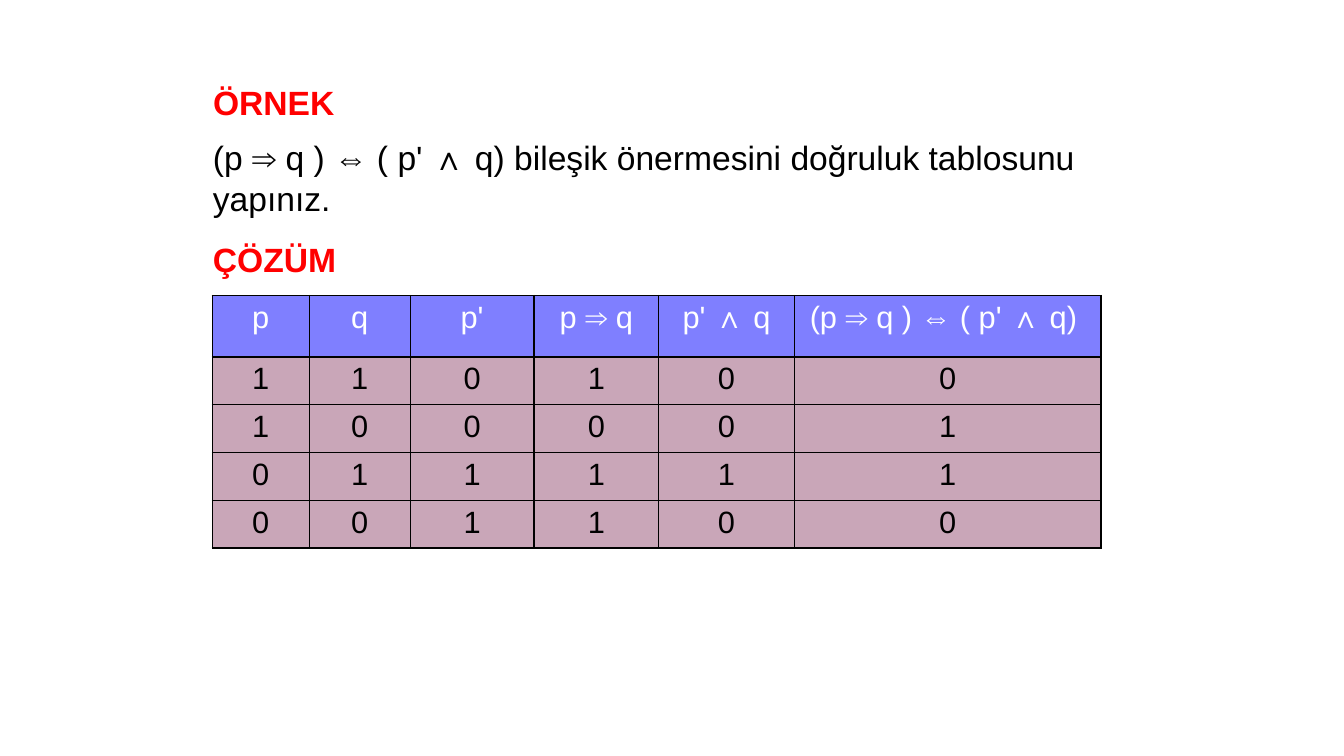
from lxml.etree import SubElement
from pptx import Presentation
from pptx.dml.color import RGBColor
from pptx.enum.text import MSO_ANCHOR as Anchor, MSO_AUTO_SIZE as AutoSize, PP_ALIGN as Align
from pptx.oxml.ns import qn
from pptx.util import Pt

RED, BLACK, WHITE = "FF0000", "000000", "FFFFFF"
HEADER_FILL, BODY_FILL = "0000FF", "954F72"
AND = "∧ "
FORMULA = "(p ⇒ q ) ⇔ ( p' ∧ q) "
HEADERS = ["p", "q", "p'", "p ⇒ q", "p' ∧ q", FORMULA]
COLUMN_WIDTHS = [69.5, 72, 88.5, 89, 97, 219]
ROW_HEIGHTS = [44, 34, 34, 34.5, 34]


def color(hex_string):
    return RGBColor.from_string(hex_string)


def apply(target, **values):
    for name, value in values.items():
        setattr(target, name, value)


def add_text(frame, text, size, font_color, align=Align.LEFT, bold=False):
    """Write one paragraph, with every conjunction sign in bold."""
    paragraph = frame.paragraphs[0]
    paragraph.alignment = align
    before, sign, after = text.partition(AND)
    for part in filter(None, (before, sign, after)):
        run = paragraph.add_run()
        run.text = part
        apply(run.font, name="Arial", size=Pt(size), bold=bold or part == AND)
        run.font.color.rgb = color(font_color)


def place_text(shape, left, top, width, height, text, font_color, bold=False, wrap=False):
    apply(shape, left=Pt(left), top=Pt(top), width=Pt(width), height=Pt(height))
    apply(shape.text_frame, word_wrap=wrap, vertical_anchor=Anchor.TOP,
          auto_size=AutoSize.SHAPE_TO_FIT_TEXT)
    add_text(shape.text_frame, text, 24, font_color, bold=bold)


def add_text_box(slide, *box_and_text, **options):
    place_text(slide.shapes.add_textbox(0, 0, 0, 0), *box_and_text, **options)


def set_borders(cell, line_color, width):
    properties = cell._tc.get_or_add_tcPr()
    for side in ("lnL", "lnR", "lnT", "lnB"):
        line = SubElement(properties, qn(f"a:{side}"), w=str(Pt(width)))
        fill = SubElement(line, qn("a:solidFill"))
        SubElement(fill, qn("a:srgbClr"), val=line_color)


def set_half_transparent_fill(cell, fill_color):
    cell.fill.solid()
    cell.fill.fore_color.rgb = color(fill_color)
    fill = cell._tc.tcPr.find(qn("a:solidFill"))
    SubElement(fill[0], qn("a:alpha"), val="50000")


def truth_rows():
    for p, q in ((1, 1), (1, 0), (0, 1), (0, 0)):
        not_p = 1 - p
        implies = not_p | q
        conjunction = not_p & q
        yield [p, q, not_p, implies, conjunction, int(implies == conjunction)]


def add_truth_table(slide, left, top):
    rows = [HEADERS, *truth_rows()]
    table = slide.shapes.add_table(
        len(rows), len(HEADERS), Pt(left), Pt(top),
        Pt(sum(COLUMN_WIDTHS)), Pt(sum(ROW_HEIGHTS))).table
    apply(table, first_row=False, horz_banding=False)
    for column, width in zip(table.columns, COLUMN_WIDTHS):
        column.width = Pt(width)
    for index, (row, height, values) in enumerate(zip(table.rows, ROW_HEIGHTS, rows)):
        row.height = Pt(height)
        fill_color, font_color = (BODY_FILL, BLACK) if index else (HEADER_FILL, WHITE)
        for cell, value in zip(row.cells, values):
            set_borders(cell, BLACK, 0.96)
            set_half_transparent_fill(cell, fill_color)
            add_text(cell.text_frame, str(value), 22, font_color, Align.CENTER)


def main():
    presentation = Presentation()
    apply(presentation, slide_width=Pt(960), slide_height=Pt(540))
    slide = presentation.slides.add_slide(presentation.slide_layouts[5])
    place_text(slide.shapes.title, 145, 55, 107, 36, "ÖRNEK", RED, bold=True)
    add_text_box(slide, 145, 167, 109, 36, "ÇÖZÜM", RED, bold=True)
    add_truth_table(slide, 151.5, 211)
    add_text_box(slide, 145, 94.5, 659, 65,
                 FORMULA + "bileşik önermesini doğruluk tablosunu yapınız.", BLACK, wrap=True)
    presentation.save("out.pptx")


if __name__ == "__main__":
    main()
